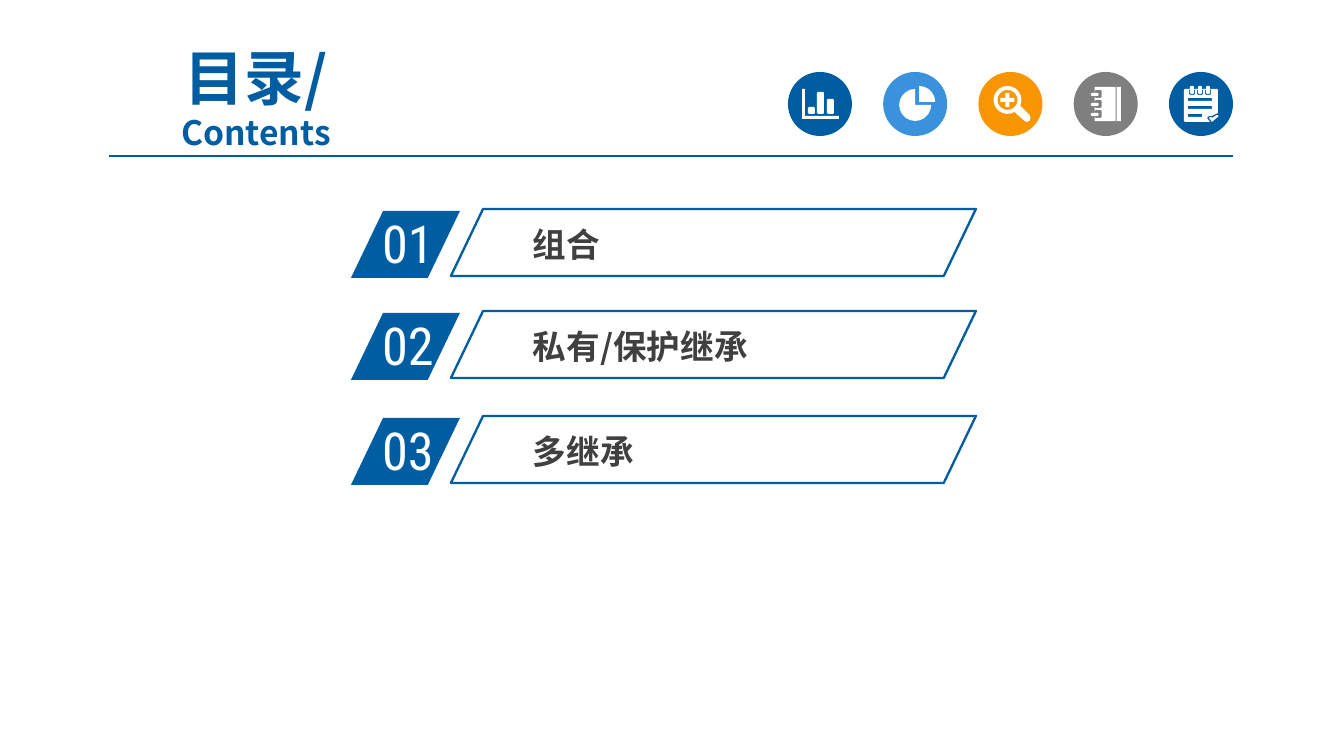
import math

import pptx
import pptx.dml.color
import pptx.enum.shapes
import pptx.enum.text
import pptx.oxml.ns
import pptx.util
from lxml import etree

SCALE = 914400 / 134.4
HUES = {"blue": "005DA2", "rule": "005B9E", "sky": "3992DB", "gold": "F79600",
        "grey": "7F7F7F", "ink": "404040", "white": "FFFFFF"}
SANS, SLIM = "Noto Sans CJK SC", "Roboto Condensed"
KINDS = pptx.enum.shapes.MSO_SHAPE
FIT = pptx.enum.text.MSO_AUTO_SIZE
ANCHOR = pptx.enum.text.MSO_ANCHOR
ITEMS = [(209, "组合"), (311, "私有/保护继承"), (416, "多继承")]


def px(size):
    return pptx.util.Emu(round(size * SCALE))


def hue(name):
    return pptx.dml.color.RGBColor.from_string(HUES[name])


def assign(thing, values):
    for key, value in values.items():
        setattr(thing, key, value)


def paint(shape, fill=None, line=None):
    shape.shadow.inherit = False
    if fill:
        shape.fill.solid()
        shape.fill.fore_color.rgb = hue(fill)
    else:
        shape.fill.background()
    if line:
        shape.line.color.rgb = hue(line)
        shape.line.width = pptx.util.Pt(1.25)
    else:
        shape.line.fill.background()


def write(para, text, face, size, tint, bold=False):
    run = para.add_run()
    run.text = text
    assign(run.font, {"name": face, "size": pptx.util.Pt(size), "bold": bold})
    run.font.color.rgb = hue(tint)
    east = etree.SubElement(run.font._element, pptx.oxml.ns.qn("a:ea"))
    east.set("typeface", face)


def split(para, size):
    """Add a line break as tall as text of the given size."""
    para.add_line_break()
    mark = etree.SubElement(para._p[-1], pptx.oxml.ns.qn("a:rPr"))
    mark.set("sz", str(size * 100))


def add_text(shapes, box, frame, *style):
    area = shapes.add_textbox(*map(px, box)).text_frame
    assign(area, {"word_wrap": True, "auto_size": FIT.SHAPE_TO_FIT_TEXT, **frame})
    write(area.paragraphs[0], *style)


def add_slant(shapes, box, **look):
    shape = shapes.add_shape(KINDS.PARALLELOGRAM, *map(px, box))
    shape.adjustments[0] = 0.48
    paint(shape, **look)


def add_title(slide):
    title = slide.shapes.title
    assign(title, dict(zip(("left", "top", "width", "height"), map(px, (90, 63, 332, 73)))))
    frame = title.text_frame
    assign(frame, {"word_wrap": True, "auto_size": FIT.NONE,
                   "vertical_anchor": ANCHOR.MIDDLE})
    para = frame.paragraphs[0]
    assign(para, {"alignment": pptx.enum.text.PP_ALIGN.CENTER, "line_spacing": 0.95})
    write(para, "目录/", SANS, 32, "blue", True)
    split(para, 32)
    write(para, "Contents", SANS, 18, "blue", True)


def add_rule(slide):
    rule = slide.shapes.add_connector(pptx.enum.shapes.MSO_CONNECTOR.STRAIGHT,
                                      px(109), px(156), px(1233), px(156))
    rule.line.color.rgb = hue("rule")
    rule.line.width = pptx.util.Pt(0.75)
    etree.SubElement(rule._element.spPr, pptx.oxml.ns.qn("a:effectLst"))


def add_row(slide, count, top, text):
    tag = slide.shapes.add_group_shape().shapes
    add_slant(tag, (351, top + 2, 109, 67), fill="blue")
    add_text(tag, (369, top - 4, 105, 77), {}, f"{count:02}", SLIM, 28, "white")
    item = slide.shapes.add_group_shape().shapes
    inset = {"margin_left": px(9), "margin_right": px(9),
             "margin_top": px(5), "margin_bottom": px(5)}
    add_text(item, (524, top + 10, 384, 51), inset, text, SANS, 18, "ink", True)
    add_slant(item, (451, top, 525, 67), line="blue")


def arc(x, y, r, start=0, end=360):
    """Points along a clockwise arc, in degrees from the right."""
    steps = (end - start) // 18
    turns = [math.radians(start + (end - start) * i / steps) for i in range(steps + 1)]
    return [(x + r * math.cos(t), y + r * math.sin(t)) for t in turns]


def box(x, y, w, h):
    return [(x, y), (x + w, y), (x + w, y + h), (x, y + h)]


def bar(x, y, w, h):
    """Outline of a box with cut corners."""
    r, b = x + w, y + h
    return [(x + 1, y), (r - 1, y), (r, y + 1), (r, b - 1),
            (r - 1, b), (x + 1, b), (x, b - 1), (x, y + 1)]


def chart():
    axes = [(-18, -15), (-15, -15), (-15, 12), (19, 12), (19, 15), (-18, 15)]
    return [axes] + [bar(x, y, 7, 10 - y) for x, y in ((-12, 3), (-3, -12), (7, -5))]


def pie():
    return [arc(4, -2, 16, -90, 0) + [(4, -2)], arc(0, 1, 16, 0, 270) + [(0, 1)]]


def lens():
    x, y = -3, -4
    plus = [(x + a, y + b) for a, b in (
        (-2, -7), (2, -7), (2, -2), (7, -2), (7, 2), (2, 2),
        (2, 7), (-2, 7), (-2, 2), (-7, 2), (-7, -2), (-2, -2))]
    grip = [(4, 8), (10, 2), (19, 11), (20, 14), (19, 17), (16, 18), (14, 17)]
    return [arc(x, y, 14), arc(x, y, 10), plus, grip]


def book():
    cover = [box(-11, -17, 21, 34), box(11, -17, 4, 34)]
    rings = [bar(*edges) for y in (-10, 0, 10)
             for edges in ((-11, y - 4, 7, 8), (-15, y - 1, 8, 3))]
    return cover + rings


def notes():
    sheet = [(-17, -14), (-16, -15), (16, -15), (17, -14), (17, 9), (11, 12),
             (8, 12), (6, 14), (9, 18), (-16, 18), (-17, 17)]
    tick = [(8, 14), (10, 13), (11, 14), (16, 11), (18, 12), (11, 18)]
    rows = [box(-13, y, w, 3) for y, w in ((-6, 24), (2, 24), (10, 14))]
    rings = [bar(*edges) for x in (-9, -1, 7)
             for edges in ((x - 3, -15, 6, 6), (x - 2, -18, 4, 8))]
    return [sheet, tick] + rows + rings


def add_icon(slide, x, tint, paths):
    y, size = 104, 64
    icon = slide.shapes.add_group_shape().shapes
    disc = icon.add_shape(KINDS.OVAL, px(x - size / 2), px(y - size / 2), px(size), px(size))
    paint(disc, fill=tint)
    paths = [[(px(x + a), px(y + b)) for a, b in points] for points in paths]
    pen = icon.build_freeform(*paths[0][0])
    for index, points in enumerate(paths):
        if index:
            pen.move_to(*points[0])
        pen.add_line_segments(points[1:], close=True)
    paint(pen.convert_to_shape(), fill="white")


def main():
    deck = pptx.Presentation()
    assign(deck, {"slide_width": px(1344), "slide_height": px(756)})
    slide = deck.slides.add_slide(deck.slide_layouts[5])
    add_title(slide)
    add_rule(slide)
    for count, (top, text) in enumerate(ITEMS, 1):
        add_row(slide, count, top, text)
    icons = [("blue", chart), ("sky", pie), ("gold", lens), ("grey", book), ("blue", notes)]
    for index, (tint, draw) in enumerate(icons):
        add_icon(slide, 820 + 381 * index / 4, tint, draw())
    deck.save("out.pptx")


if __name__ == "__main__":
    main()
